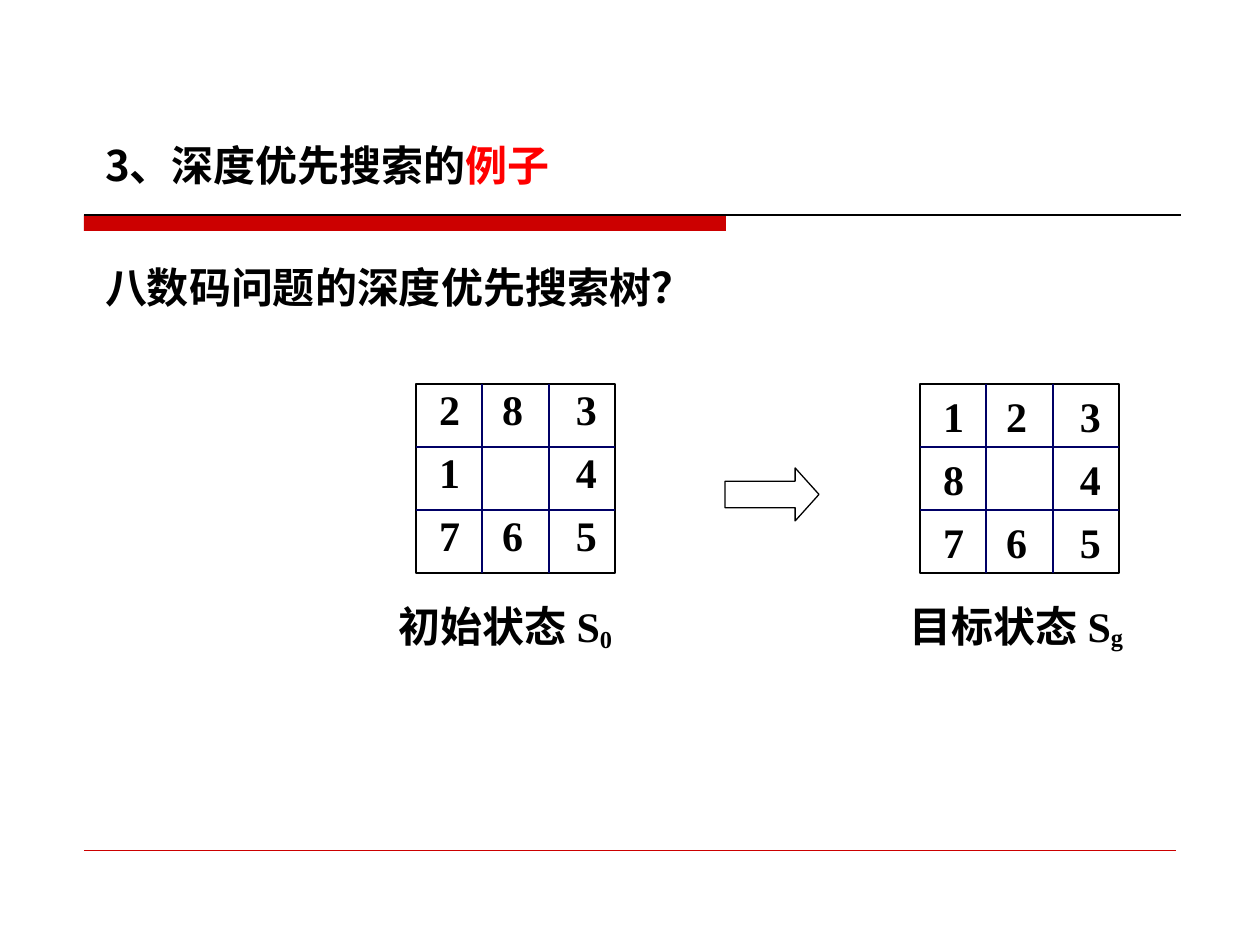
from lxml.etree import SubElement
from pptx import Presentation
from pptx.dml.color import RGBColor
from pptx.enum.shapes import MSO_CONNECTOR, MSO_SHAPE
from pptx.enum.text import MSO_ANCHOR, MSO_AUTO_SIZE, PP_ALIGN
from pptx.oxml.ns import qn
from pptx.util import Emu, Pt

SCALE = 914400 / 126
COLORS = {"black": "000000", "red": "FF0000", "bar": "CC0000", "grid": "000066"}
CHINESE, LATIN = "Noto Sans CJK SC", "Times New Roman"
FRAME = {
    "margin_left": 0, "margin_top": 0, "margin_right": 0, "margin_bottom": 0,
    "word_wrap": True, "auto_size": MSO_AUTO_SIZE.NONE,
}
CELL, GRID_WIDTH = 63, 199
DIGIT_LEFTS, DIGIT_WIDTH = (10, 73, 147), 47


def px(*lengths):
    """Turn pixel lengths into EMU."""
    return [Emu(round(length * SCALE)) for length in lengths]


def color(name):
    """Look up a named colour."""
    return RGBColor.from_string(COLORS[name])


def write(shape, spans, font=CHINESE, align=PP_ALIGN.LEFT, anchor=MSO_ANCHOR.TOP):
    """Fill a shape with one paragraph of (text, colour, baseline) spans."""
    frame = shape.text_frame
    for name, value in {**FRAME, "vertical_anchor": anchor}.items():
        setattr(frame, name, value)
    paragraph = frame.paragraphs[0]
    paragraph.alignment = align
    for text, shade, baseline in spans:
        span = paragraph.add_run()
        span.text = text
        for name, value in {"name": font, "size": Pt(24), "bold": True}.items():
            setattr(span.font, name, value)
        span.font.color.rgb = color(shade)
        properties = span.font._element
        SubElement(properties, qn("a:ea")).set("typeface", CHINESE)
        if baseline:
            properties.set("baseline", str(baseline * 1000))


def add_text(page, box, spans, **style):
    """Add a text box at a pixel box."""
    write(page.shapes.add_textbox(*px(*box)), spans, **style)


def add_line(page, start, end, shade, width=0.75):
    """Draw a straight line without a shadow."""
    line = page.shapes.add_connector(MSO_CONNECTOR.STRAIGHT, *px(*start, *end))
    line.line.color.rgb = color(shade)
    line.line.width = Pt(width)
    SubElement(line._element.spPr, qn("a:effectLst"))


def add_shape(page, kind, box, fill=None):
    """Add a filled shape, or an outlined one when no fill is given."""
    shape = page.shapes.add_shape(kind, *px(*box))
    shape.shadow.inherit = False
    if fill:
        shape.fill.solid()
        shape.fill.fore_color.rgb = color(fill)
        shape.line.fill.background()
    else:
        shape.fill.background()
        shape.line.color.rgb = color("black")
        shape.line.width = Pt(0.75)
    return shape


def add_heading(page):
    """Place the title, its rule and the footer rule."""
    add_shape(page, MSO_SHAPE.RECTANGLE, (84, 215, 642, 16), "bar")
    add_line(page, (84, 215), (1181, 215), "black")
    add_line(page, (84, 850), (1176, 850), "bar", 0.25)
    title = page.shapes.title
    title.left, title.top, title.width, title.height = px(105, 139, 473, 50)
    write(title, [("3、深度优先搜索的", "black", 0), ("例子", "red", 0)])


def add_puzzle(page, left, top, rows, digit_height, label, label_left):
    """Draw a three by three puzzle state with its label below."""
    side = 3 * CELL
    add_shape(page, MSO_SHAPE.RECTANGLE, (left, top, GRID_WIDTH, side))
    for step in (1, 2):
        x, y = left + round(step * GRID_WIDTH / 3), top + step * CELL
        add_line(page, (left, y), (left + GRID_WIDTH, y), "grid")
        add_line(page, (x, top), (x, top + side), "grid")
    for row, digits in enumerate(rows):
        for offset, digit in zip(DIGIT_LEFTS, digits):
            if digit != " ":
                box = (left + offset, top + row * CELL, DIGIT_WIDTH, digit_height)
                add_text(page, box, [(digit, "black", 0)], font=LATIN,
                         align=PP_ALIGN.CENTER, anchor=MSO_ANCHOR.MIDDLE)
    add_text(page, (left + label_left, top + 217, 236, 50), label, font=LATIN)


def add_arrow(page, box):
    """Draw the arrow between the two states."""
    arrow = add_shape(page, MSO_SHAPE.RIGHT_ARROW, box)
    arrow.adjustments[0], arrow.adjustments[1] = 0.5, 0.45


def main():
    """Build the deck."""
    deck = Presentation()
    deck.slide_width, deck.slide_height = px(1260, 945)
    page = deck.slides.add_slide(deck.slide_layouts[5])
    add_heading(page)
    add_text(page, (105, 262, 588, 50), [("八数码问题的深度优先搜索树？", "black", 0)])
    add_puzzle(page, 416, 384, ("283", "1 4", "765"), 50,
               [("初始状态 S", "black", 0), ("0", "black", -12)], -17)
    add_puzzle(page, 920, 384, ("123", "8 4", "765"), CELL,
               [("目标状态 S", "black", 0), ("g", "black", -8)], -10)
    add_arrow(page, (725, 468, 94, 53))
    deck.save("out.pptx")


if __name__ == "__main__":
    main()
